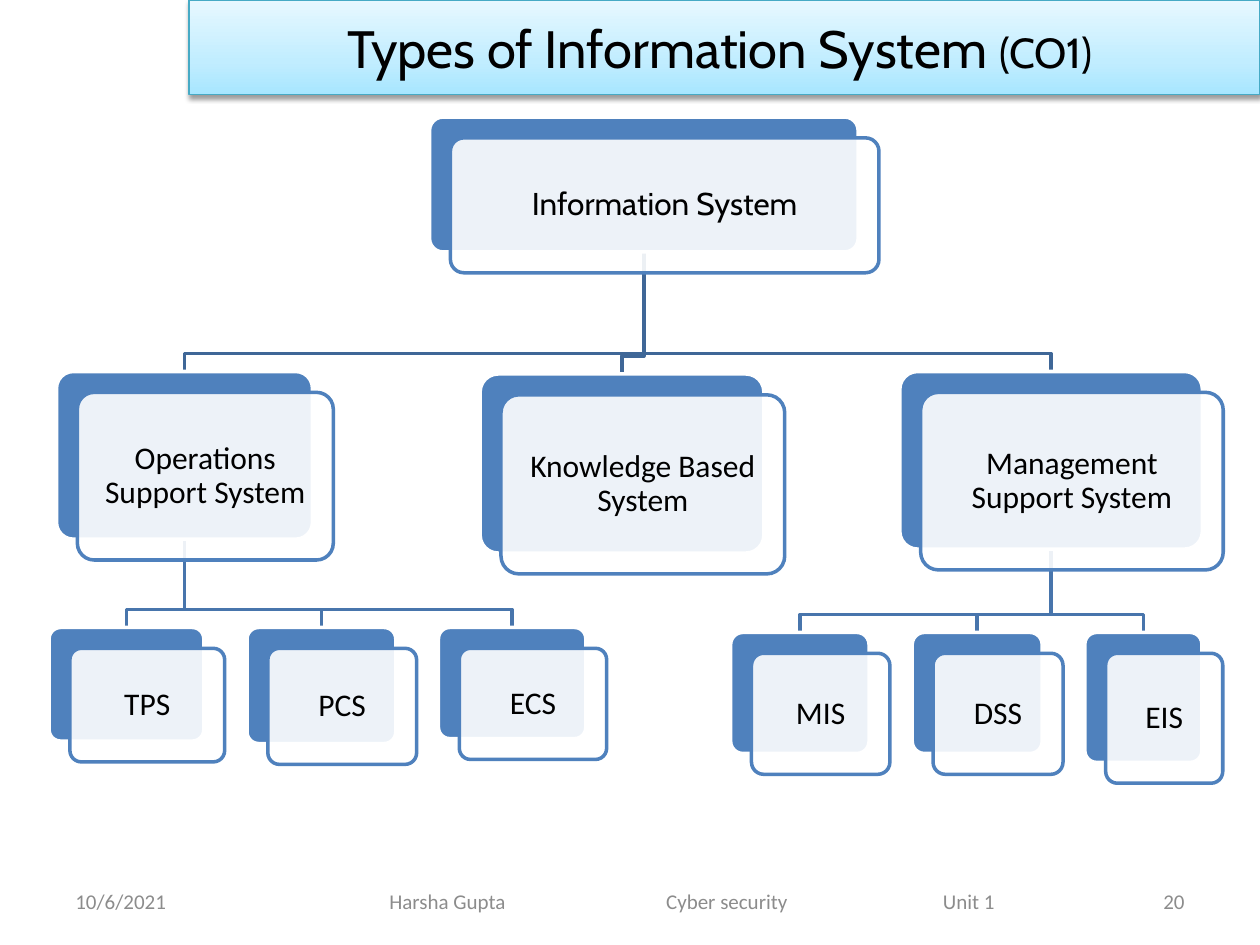
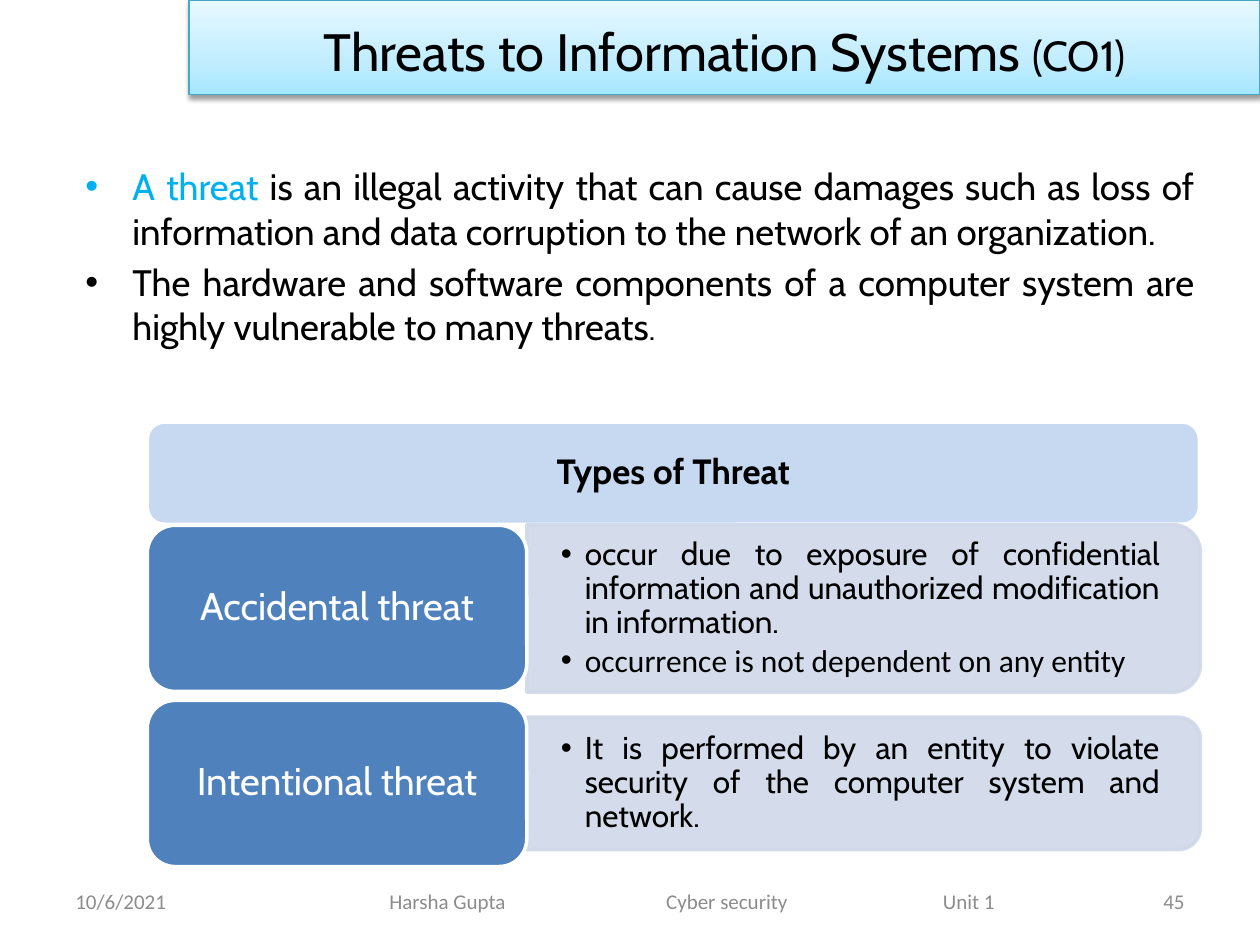
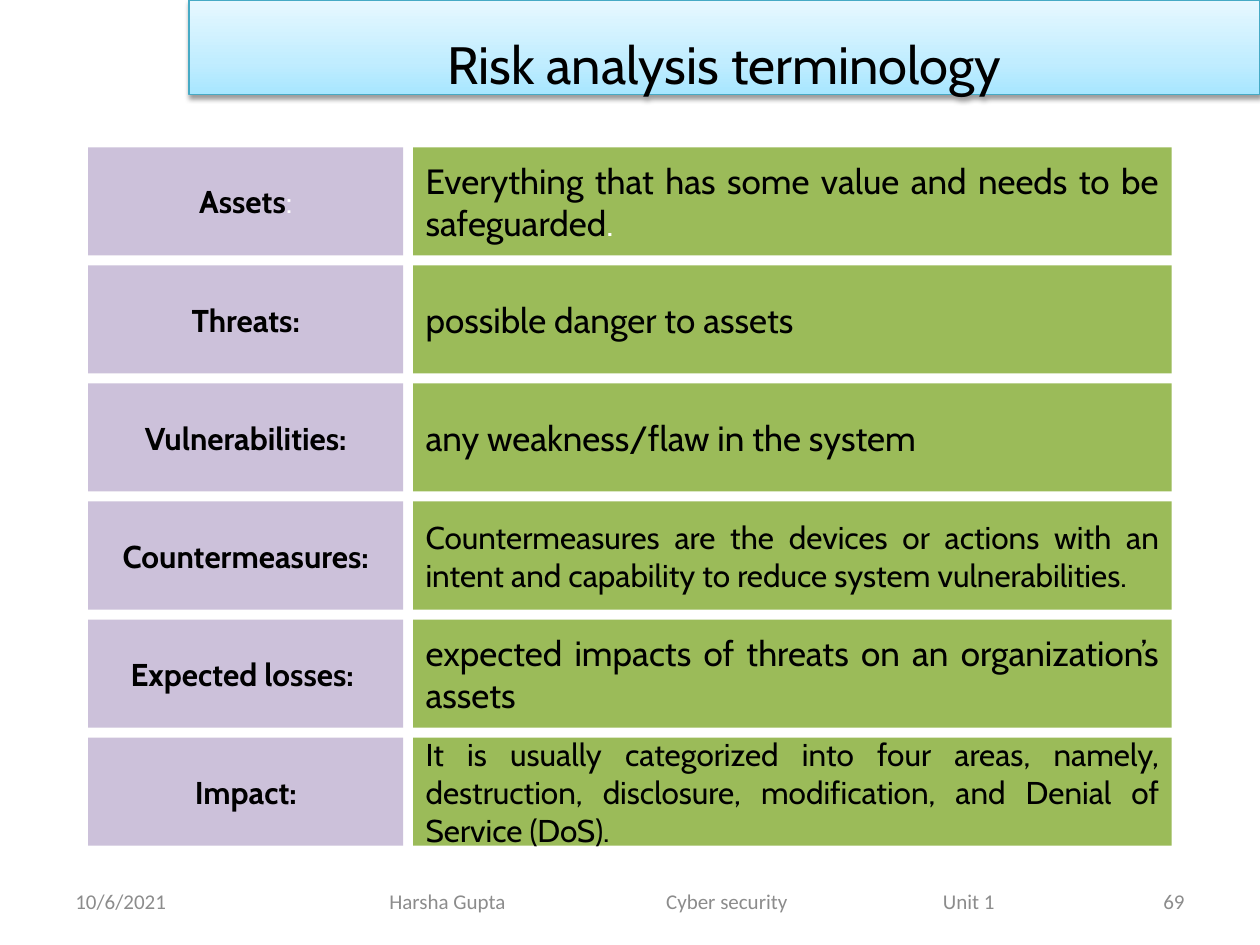
from lxml.etree import SubElement
from pptx import Presentation
from pptx.dml.color import RGBColor
from pptx.enum.shapes import MSO_SHAPE
from pptx.enum.text import MSO_ANCHOR, PP_ALIGN
from pptx.oxml.ns import qn
from pptx.util import Cm, Pt

# Shared look
BLACK, WHITE, GREY = "000000", "FFFFFF", "8C8C8C"
BLUE, SKY = "4F81BD", "00B0F0"
HEADER_BLUE, PANEL_BLUE = "C6D9F1", "D0D8E8"
LILAC, GREEN = "CCC1DA", "9BBB59"
LINK_UPPER, LINK_LOWER = "3F6797", "4875AC"
TITLE_STOPS = [(0, "A7E6FF"), (35, "C1EDFF"), (100, "E7F8FF")]
TITLE_LINE = "46AAC5"
HEADING_FONT, BODY_FONT = "Cabin", "Calibri"
CENTER, JUSTIFY = PP_ALIGN.CENTER, PP_ALIGN.JUSTIFY

# Footer
FOOTER_TOP, FOOTER_HEIGHT = 17.65, 1.02
FOOTER_TAB = 5.58

# Organisation chart: name -> (box in cm, font, children)
NODES = {
    "Information System": ((8.66, 2.36, 8.64, 2.72), HEADING_FONT,
                           ["Operations Support System", "Knowledge Based System",
                            "Management Support System"]),
    "Operations Support System": ((1.14, 7.49, 5.16, 3.38), BODY_FONT, ["TPS", "PCS", "ECS"]),
    "Knowledge Based System": ((9.68, 7.54, 5.72, 3.61), BODY_FONT, []),
    "Management Support System": ((18.14, 7.49, 6.1, 3.58), BODY_FONT, ["MIS", "DSS", "EIS"]),
    "TPS": ((0.99, 12.65, 3.12, 2.29), BODY_FONT, []),
    "PCS": ((4.98, 12.65, 3, 2.34), BODY_FONT, []),
    "ECS": ((8.84, 12.65, 2.97, 2.24), BODY_FONT, []),
    "MIS": ((14.73, 12.75, 2.79, 2.44), BODY_FONT, []),
    "DSS": ((18.39, 12.75, 2.62, 2.44), BODY_FONT, []),
    "EIS": ((21.87, 12.75, 2.36, 2.62), BODY_FONT, []),
}
ROOT = "Information System"
CARD_SHIFT = 0.42
BEND_ABOVE_CHILD = 0.36

THREAT_INTRO = [
    [("A threat ", {"color": SKY}),
     ("is an illegal activity that can cause damages such as loss of information "
      "and data corruption to the network of an organization.", {"color": BLACK})],
    [("The hardware and software components of a computer system are highly "
      "vulnerable to many threats", {"size": 21}), (".", {"size": 18})],
]

# Threat name, panel height, (text, font) of each bullet
THREATS = [
    ("Accidental threat", 3.38,
     [("occur due to exposure of confidential information and unauthorized "
       "modification in information.", HEADING_FONT),
      ("occurrence is not dependent on any entity", BODY_FONT)]),
    ("Intentional threat", 2.67,
     [("It is performed by an entity to violate security of the computer system "
       "and network.", HEADING_FONT)]),
]

# Term runs, meaning runs, meaning size
TERMS = [
    ([("Assets", {"color": BLACK, "bold": True}), (":", {"color": WHITE, "bold": False})],
     [("Everything that has some value and needs to be safeguarded", {"color": BLACK}),
      (".", {"color": WHITE})], 20),
    ("Threats:", "possible danger to assets", 20),
    ("Vulnerabilities:", "any weakness/flaw in the system", 20),
    ("Countermeasures:", "Countermeasures are the devices or actions with an intent "
     "and capability to reduce system vulnerabilities.", 18),
    ("Expected losses: ", "expected impacts of threats on an organization’s assets", 20),
    ("Impact:", "It is usually categorized into four areas, namely, destruction, "
     "disclosure, modification, and Denial of Service (DoS).", 18),
]


def rgb(color):
    return RGBColor.from_string(color)


def place(box):
    return [Cm(value) for value in box]


def style_font(font, name=None, size=None, color=None, bold=None):
    if name:
        font.name = name
    if size:
        font.size = Pt(size)
    if color:
        font.color.rgb = rgb(color)
    if bold is not None:
        font.bold = bold


def write(paragraph, content, align=PP_ALIGN.LEFT, line_spacing=None, space_before=None,
          space_after=None, indent=None, tabs=(), **font):
    """Fill a paragraph from a string or from (text, differing font values) runs."""
    paragraph.alignment = align
    paragraph.line_spacing = line_spacing
    if space_before is not None:
        paragraph.space_before = Pt(space_before)
    if space_after is not None:
        paragraph.space_after = Pt(space_after)
    properties = paragraph._p.get_or_add_pPr()
    if indent:
        properties.set("marL", str(Cm(indent)))
        properties.set("indent", str(-Cm(indent)))
        SubElement(properties, qn("a:buFont"), typeface="Arial")
        SubElement(properties, qn("a:buChar"), char="•")
    if tabs:
        tab_list = SubElement(properties, qn("a:tabLst"))
        for position in tabs:
            SubElement(tab_list, qn("a:tab"), pos=str(Cm(position)), algn="l")
    style_font(paragraph.font, **font)
    for text, differing in [(content, {})] if isinstance(content, str) else content:
        run = paragraph.add_run()
        run.text = text
        style_font(run.font, **differing)


def prepare_frame(shape, anchor=MSO_ANCHOR.MIDDLE, side=0.25, top=0.13):
    frame = shape.text_frame
    frame.word_wrap = True
    frame.vertical_anchor = anchor
    frame.margin_left = frame.margin_right = Cm(side)
    frame.margin_top = frame.margin_bottom = Cm(top)
    return frame


def add_text_box(slide, box, **frame_options):
    return prepare_frame(slide.shapes.add_textbox(*place(box)), **frame_options)


def set_alpha(color_parent, percent):
    for color in color_parent.iter(qn("a:srgbClr")):
        SubElement(color, qn("a:alpha"), val=str(percent * 1000))


def add_block(slide, kind, box, fill, line=None, line_width=2, alpha=None):
    shape = slide.shapes.add_shape(kind, *place(box))
    shape.shadow.inherit = False
    shape.fill.solid()
    shape.fill.fore_color.rgb = rgb(fill)
    if alpha:
        set_alpha(shape._element.spPr, alpha)
    if line:
        shape.line.color.rgb = rgb(line)
        shape.line.width = Pt(line_width)
    else:
        shape.line.fill.background()
    return shape


# Title band and footer
def add_title(slide, content, line_spacing=1.0):
    band = add_block(slide, MSO_SHAPE.RECTANGLE, (3.81, 0, 21.59, 1.91), WHITE, TITLE_LINE, 0.75)
    # Three-stop gradient, running upwards
    band.fill.gradient()
    gradient = band._element.spPr.find(qn("a:gradFill"))
    gradient.find(qn("a:lin")).set("ang", "16200000")
    stops = gradient.find(qn("a:gsLst"))
    stops.clear()
    for position, color in TITLE_STOPS:
        stop = SubElement(stops, qn("a:gs"), pos=str(position * 1000))
        SubElement(stop, qn("a:srgbClr"), val=color)
    # Soft shadow below
    effects = band._element.spPr.find(qn("a:effectLst"))
    shadow = SubElement(effects, qn("a:outerShdw"), blurRad=str(Pt(3.1)), dist=str(Pt(1.6)),
                        dir="5400000", rotWithShape="0")
    SubElement(shadow, qn("a:srgbClr"), val=BLACK)
    set_alpha(shadow, 38)
    write(prepare_frame(band).paragraphs[0], content, CENTER, line_spacing,
          name=HEADING_FONT, size=30, color=BLACK)


def add_footer(slide, number):
    parts = [
        (1.27, 5.92, 0.25, "10/6/2021", PP_ALIGN.LEFT, ()),
        (6.99, 13.97, 0.86, "Harsha Gupta\tCyber security\tUnit 1", PP_ALIGN.LEFT,
         (FOOTER_TAB, 2 * FOOTER_TAB)),
        (18.21, 5.92, 0.25, str(number), PP_ALIGN.RIGHT, ()),
    ]
    for left, width, side, text, align, tabs in parts:
        frame = add_text_box(slide, (left, FOOTER_TOP, width, FOOTER_HEIGHT), side=side)
        write(frame.paragraphs[0], text, align, tabs=tabs, name=BODY_FONT, size=12, color=GREY)


def add_page(presentation, title, number, line_spacing=1.0):
    slide = presentation.slides.add_slide(presentation.slide_layouts[6])
    add_title(slide, title, line_spacing)
    add_footer(slide, number)
    return slide


# Organisation chart
def add_link(slide, parent_box, child_box, color):
    left, top, width, height = parent_box
    start_x, start_y = left + width / 2, top + height
    end_x, end_y = child_box[0] + child_box[2] / 2, child_box[1]
    bend_y = end_y - BEND_ABOVE_CHILD
    builder = slide.shapes.build_freeform(Cm(start_x), Cm(start_y))
    corners = [(start_x, bend_y), (end_x, bend_y), (end_x, end_y)]
    builder.add_line_segments([(Cm(x), Cm(y)) for x, y in corners], close=False)
    link = builder.convert_to_shape()
    link.shadow.inherit = False
    link.fill.background()
    link.line.color.rgb = rgb(color)
    link.line.width = Pt(2)


def add_card(slide, box, text, font_name):
    left, top, width, height = box
    front_box = (left + CARD_SHIFT, top + CARD_SHIFT, width, height)
    back = add_block(slide, MSO_SHAPE.ROUNDED_RECTANGLE, box, BLUE, WHITE)
    front = add_block(slide, MSO_SHAPE.ROUNDED_RECTANGLE, front_box, WHITE, BLUE, alpha=90)
    for shape in (back, front):
        shape.adjustments[0] = 0.1
    write(prepare_frame(front, side=0.18, top=0.18).paragraphs[0], text, CENTER, 0.9,
          name=font_name, size=18, color=BLACK)


def add_organisation_chart(slide):
    for name, (box, _, children) in NODES.items():
        for child in children:
            add_link(slide, box, NODES[child][0], LINK_UPPER if name == ROOT else LINK_LOWER)
    for name, (box, font_name, _) in NODES.items():
        add_card(slide, box, name, font_name)


# Threats
def add_intro(slide, box):
    frame = add_text_box(slide, box, anchor=MSO_ANCHOR.TOP)
    for index, runs in enumerate(THREAT_INTRO):
        paragraph = frame.add_paragraph() if index else frame.paragraphs[0]
        write(paragraph, runs, JUSTIFY, space_before=4.2 if index else 0, indent=0.95,
              name=HEADING_FONT, size=21, color=BLACK)


def add_threat_panel(slide, box, bullets):
    left, top, width, height = box
    # The preset has its round corners on top, so it is turned to the right
    turned_box = (left + (width - height) / 2, top + (height - width) / 2, height, width)
    panel = add_block(slide, MSO_SHAPE.ROUND_2_SAME_RECTANGLE, turned_box,
                      PANEL_BLUE, PANEL_BLUE)
    panel.rotation = 90
    set_alpha(panel._element.spPr, 90)
    frame = add_text_box(slide, (left, top, width - 0.13, height), side=0.69, top=0.36)
    for index, (text, font_name) in enumerate(bullets):
        paragraph = frame.add_paragraph() if index else frame.paragraphs[0]
        write(paragraph, text, JUSTIFY, 0.9, space_after=2.7, indent=0.48,
              name=font_name, size=18, color=BLACK)


def add_threat_types(slide, left, top):
    label_width, label_height, pitch = 7.65, 3.35, 3.53
    header = add_block(slide, MSO_SHAPE.ROUNDED_RECTANGLE, (left, top, 21.21, 2.06),
                       HEADER_BLUE, WHITE)
    write(prepare_frame(header).paragraphs[0], "Types of Threat", CENTER, 0.9,
          name=HEADING_FONT, size=20, color=BLACK, bold=True)
    for row, (name, panel_height, bullets) in enumerate(THREATS):
        label_top = top + 2.08 + row * pitch
        panel_top = label_top + (label_height - panel_height) / 2
        add_threat_panel(slide, (left + label_width, panel_top, 13.58, panel_height), bullets)
        label = add_block(slide, MSO_SHAPE.ROUNDED_RECTANGLE,
                          (left, label_top, label_width, label_height), BLUE, WHITE)
        write(prepare_frame(label).paragraphs[0], name, CENTER, 0.9,
              name=HEADING_FONT, size=22, color=WHITE)


# Terminology
def add_terms(slide, left, top):
    term_width, meaning_width, height, gap = 6.35, 15.29, 2.18, 0.2
    for row, (term, meaning, size) in enumerate(TERMS):
        row_top = top + row * (height + gap)
        term_block = add_block(slide, MSO_SHAPE.RECTANGLE,
                               (left, row_top, term_width, height), LILAC)
        write(prepare_frame(term_block).paragraphs[0], term, CENTER,
              name=HEADING_FONT, size=18, color=BLACK, bold=True)
        meaning_block = add_block(slide, MSO_SHAPE.RECTANGLE,
                                  (left + term_width + gap, row_top, meaning_width, height), GREEN)
        write(prepare_frame(meaning_block).paragraphs[0], meaning, JUSTIFY,
              name=HEADING_FONT, size=size, color=BLACK)


def main():
    presentation = Presentation()
    presentation.slide_width, presentation.slide_height = Cm(25.4), Cm(19.05)

    slide = add_page(presentation, [("Types of Information System ", {"size": 30}),
                                    ("(CO1) ", {"size": 24})], 20)
    add_organisation_chart(slide)

    slide = add_page(presentation, [("Threats to Information Systems ", {"size": 30}),
                                    ("(CO1)", {"size": 24})], 45, line_spacing=1.1)
    add_intro(slide, (1.47, 3.18, 22.86, 13.49))
    add_threat_types(slide, 2.97, 8.51)

    slide = add_page(presentation, "Risk analysis terminology", 69, line_spacing=1.5)
    add_terms(slide, 1.78, 2.97)

    presentation.save("out.pptx")


if __name__ == "__main__":
    main()
